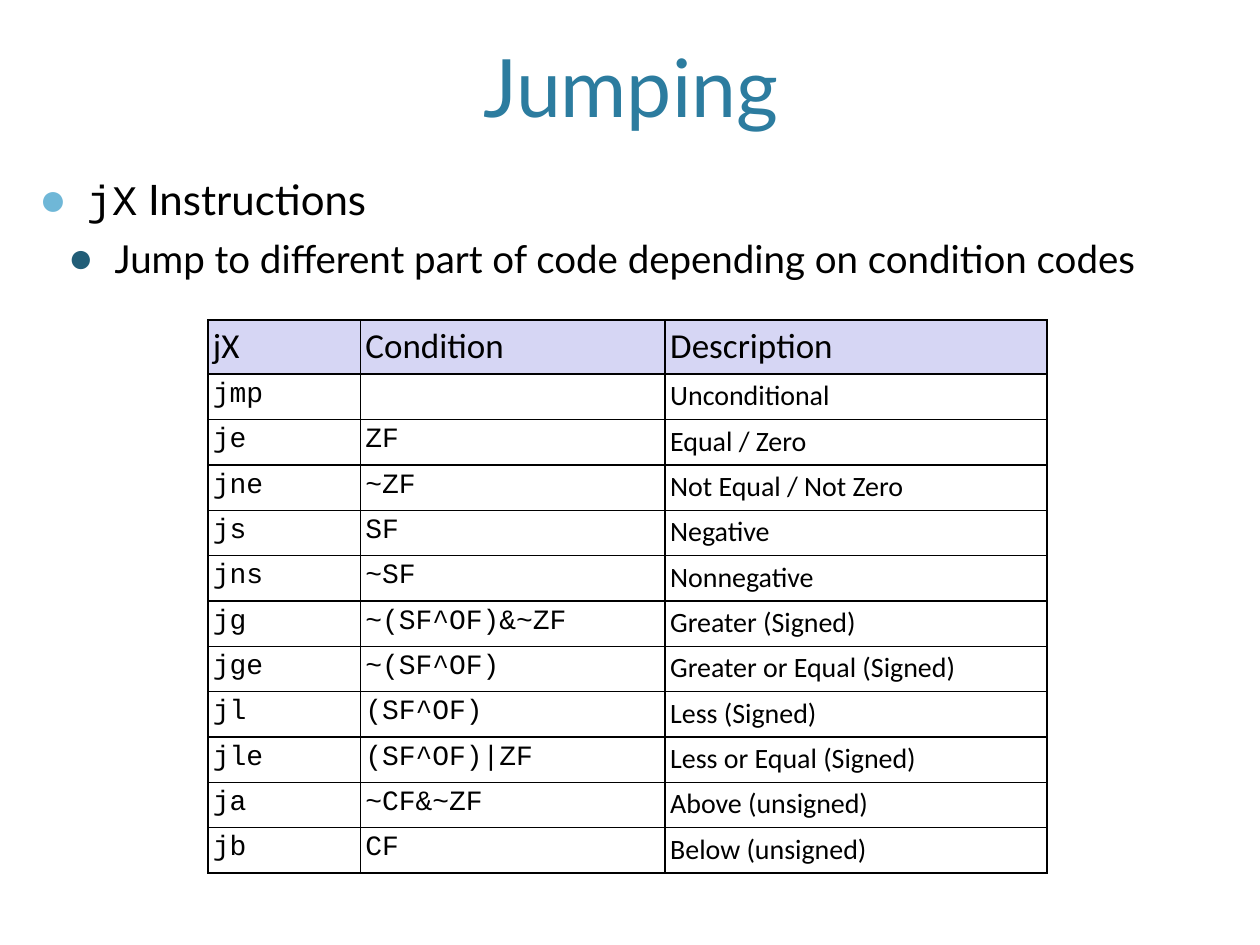
"""Build the slide on jX jump instructions and their condition codes."""
import lxml.etree
import pptx
import pptx.dml.color
import pptx.enum.text
import pptx.oxml.ns
import pptx.util

Inches, Pt = pptx.util.Inches, pptx.util.Pt
RGBColor = pptx.dml.color.RGBColor
qn = pptx.oxml.ns.qn

TITLE_BLUE = RGBColor(0x2C, 0x7C, 0x9F)
LIGHT_BLUE = RGBColor(0x6F, 0xB7, 0xD7)
DARK_BLUE = RGBColor(0x21, 0x5D, 0x77)
LAVENDER = RGBColor(0xD6, 0xD6, 0xF4)
BLACK = RGBColor(0, 0, 0)
TEXT_FONT, CODE_FONT, TABLE_FONT = "Lato", "Courier New", "Calibri"

TITLE = "Jumping"
POINTS = [
    {"runs": [("jX", CODE_FONT), (" Instructions", TEXT_FONT)], "size": 24,
     "before": 20, "margin": 0.38, "hang": 0.38, "bullet": LIGHT_BLUE},
    {"runs": [("Jump to different part of code depending on condition codes", TEXT_FONT)],
     "size": 22, "before": 6, "margin": 0.6, "hang": 0.37, "bullet": DARK_BLUE},
]
HEADINGS = ("jX", "Condition", "Description")
JUMPS = [
    ("jmp", "", "Unconditional"),
    ("je", "ZF", "Equal / Zero"),
    ("jne", "~ZF", "Not Equal / Not Zero"),
    ("js", "SF", "Negative"),
    ("jns", "~SF", "Nonnegative"),
    ("jg", "~(SF^OF)&~ZF", "Greater (Signed)"),
    ("jge", "~(SF^OF)", "Greater or Equal (Signed)"),
    ("jl", "(SF^OF)", "Less (Signed)"),
    ("jle", "(SF^OF)|ZF", "Less or Equal (Signed)"),
    ("ja", "~CF&~ZF", "Above (unsigned)"),
    ("jb", "CF", "Below (unsigned)"),
]
COLUMN_WIDTHS = (1.21, 2.42, 3.03)
HEADING_HEIGHT, JUMP_HEIGHT = 0.43, 0.36


def add_run(paragraph, text, font, size, color=BLACK):
    run = paragraph.add_run()
    run.text = text
    run.font.name, run.font.size = font, Pt(size)
    run.font.color.rgb = color


def place(placeholder, left, top, width, height):
    placeholder.left, placeholder.top = Inches(left), Inches(top)
    placeholder.width, placeholder.height = Inches(width), Inches(height)
    frame = placeholder.text_frame
    frame.word_wrap = True
    frame.auto_size = pptx.enum.text.MSO_AUTO_SIZE.NONE
    frame.vertical_anchor = pptx.enum.text.MSO_ANCHOR.TOP
    return frame


def add_child(parent, tag, **attributes):
    return lxml.etree.SubElement(parent, qn(tag), attributes)


def format_point(paragraph, level, point):
    paragraph.level = level
    paragraph.space_before = Pt(point["before"])
    properties = paragraph._p.get_or_add_pPr()
    properties.set("marL", str(Inches(point["margin"])))
    properties.set("indent", str(-Inches(point["hang"])))
    add_child(add_child(properties, "a:buClr"), "a:srgbClr", val=str(point["bullet"]))
    add_child(properties, "a:buSzPct", val="110000")
    add_child(properties, "a:buChar", char="●")
    for text, font in point["runs"]:
        add_run(paragraph, text, font, point["size"])


def fill_cell(cell, text, font, size, fill):
    cell.margin_left = cell.margin_right = Inches(0.04)
    cell.margin_top = cell.margin_bottom = Inches(0.04)
    paragraph = cell.text_frame.paragraphs[0]
    if text:
        add_run(paragraph, text, font, size)
    else:
        add_child(paragraph._p, "a:endParaRPr", sz=str(size * 100))
    properties = cell._tc.get_or_add_tcPr()
    for side in ("a:lnL", "a:lnR", "a:lnT", "a:lnB"):
        border = add_child(properties, side, w=str(Pt(1)))
        add_child(add_child(border, "a:solidFill"), "a:srgbClr", val=str(BLACK))
    if fill:
        cell.fill.solid()
        cell.fill.fore_color.rgb = fill
    else:
        cell.fill.background()


def add_jump_table(slide):
    rows = [HEADINGS] + JUMPS
    heights = [HEADING_HEIGHT] + [JUMP_HEIGHT] * len(JUMPS)
    table = slide.shapes.add_table(
        len(rows), len(HEADINGS), Inches(1.65), Inches(2.54),
        Inches(sum(COLUMN_WIDTHS)), Inches(sum(heights))).table
    table.first_row = table.horz_banding = False
    for column, width in zip(table.columns, COLUMN_WIDTHS):
        column.width = Inches(width)
    for r, (row, height) in enumerate(zip(rows, heights)):
        table.rows[r].height = Inches(height)
        for c, text in enumerate(row):
            if r == 0:
                fill_cell(table.cell(r, c), text, TABLE_FONT, 20, LAVENDER)
            else:
                font = TABLE_FONT if c == 2 else CODE_FONT
                fill_cell(table.cell(r, c), text, font, 16, None)


def main():
    deck = pptx.Presentation()
    deck.slide_width, deck.slide_height = Inches(10), Inches(7.5)
    slide = deck.slides.add_slide(deck.slide_layouts[1])

    heading = place(slide.shapes.title, 0.42, 0.24, 9.17, 1.29).paragraphs[0]
    heading.alignment = pptx.enum.text.PP_ALIGN.CENTER
    add_run(heading, TITLE, TEXT_FONT, 46, TITLE_BLUE)

    body = place(slide.placeholders[1], 0.21, 1.33, 9.58, 0.97)
    for level, point in enumerate(POINTS):
        paragraph = body.add_paragraph() if level else body.paragraphs[0]
        format_point(paragraph, level, point)

    add_jump_table(slide)
    deck.save("out.pptx")


if __name__ == "__main__":
    main()
